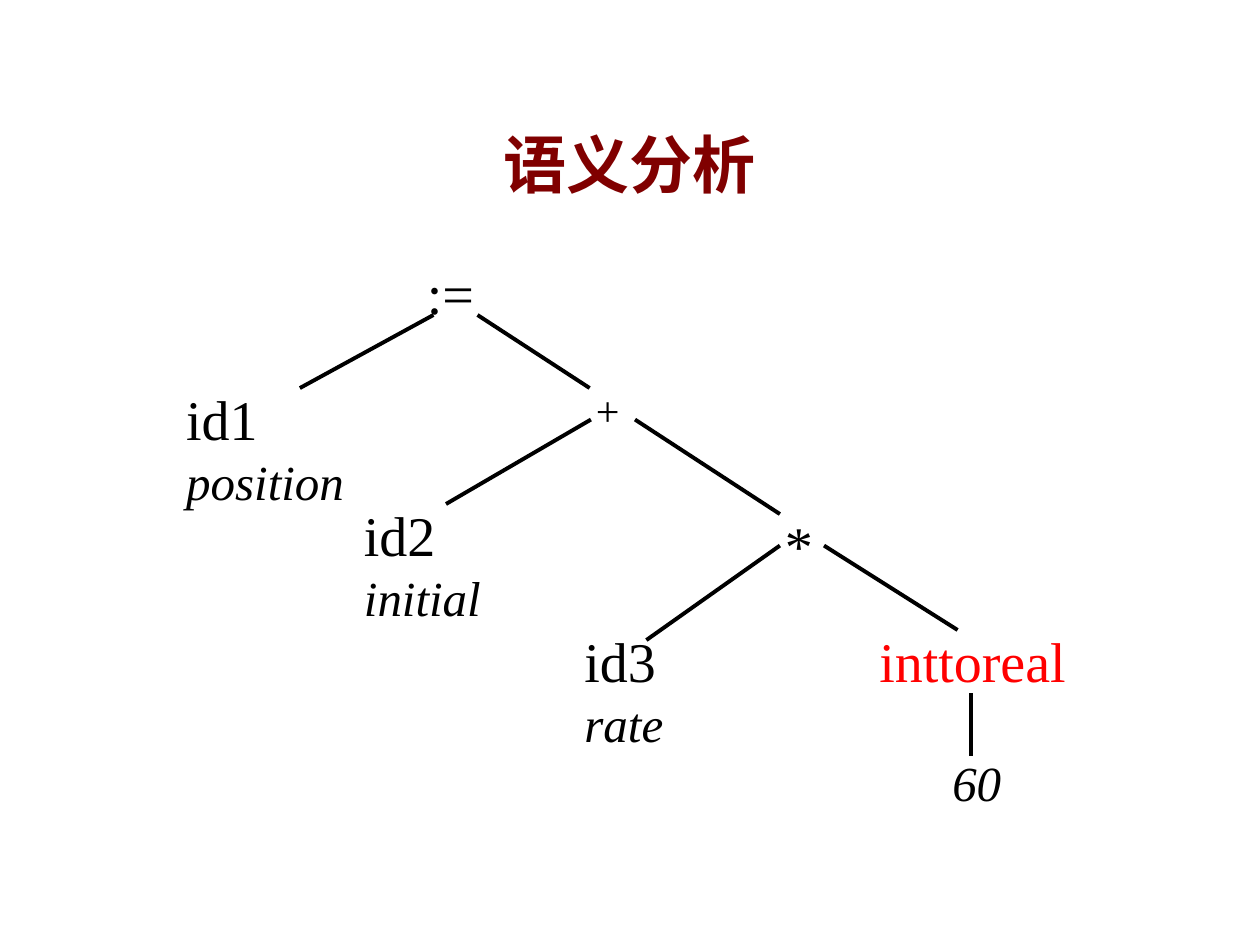
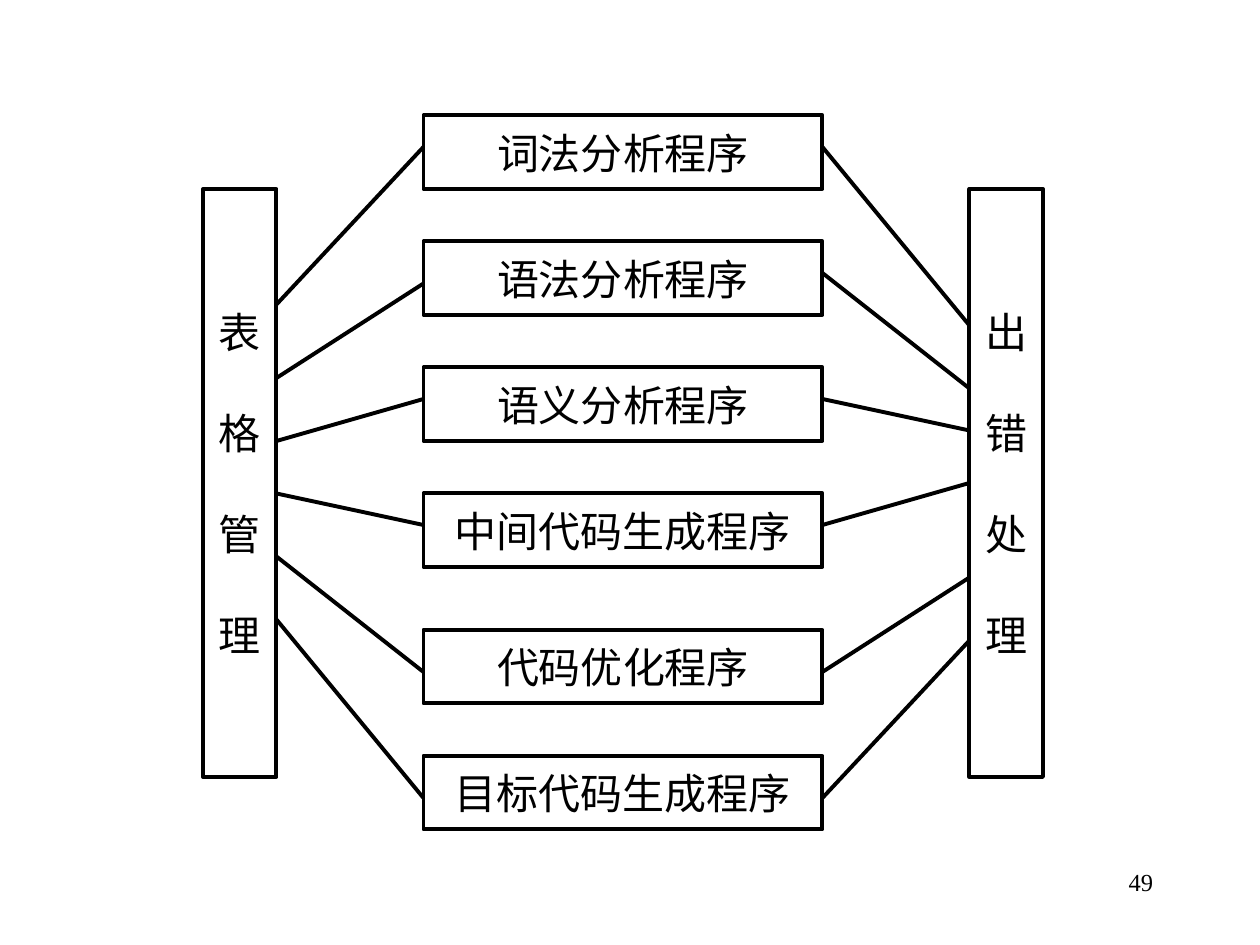
from itertools import accumulate

from lxml.etree import SubElement
from pptx import Presentation
from pptx.dml.color import RGBColor
from pptx.enum.shapes import MSO_CONNECTOR as Connector, MSO_SHAPE as Shape
from pptx.enum.text import MSO_ANCHOR as Anchor, PP_ALIGN as Align
from pptx.oxml.ns import qn
from pptx.util import Inches, Pt

COLORS = {"ink": "000000", "title": "800000", "accent": "FF0000", "paper": "FFFFFF"}
FONT = "Times New Roman"
LINE_WIDTH = 2.25

TITLE = ("语义分析", (0.75, 0.67, 8.5, 1.25))
PAGE_NUMBER = ("49", (7.17, 6.83, 2.08, 0.5))

PLAIN = {"size": 32}
ITALIC = {"size": 28, "italic": True}
TREE_NODES = [
    ((7.46, 5.92, 0.67, 0.57), [("60", ITALIC)]),
    ((3.29, 2, 0.71, 0.64), [(":=", PLAIN)]),
    ((4.63, 3, 0.71, 0.5), [("+", {"size": 24})]),
    ((6.13, 4, 0.71, 0.64), [("*", PLAIN)]),
    ((1.38, 3, 1.76, 1.1), [("id1 ", PLAIN), ("position", ITALIC)]),
    ((2.79, 3.92, 1.32, 1.1), [("id2 ", PLAIN), ("initial", ITALIC)]),
    ((4.54, 4.92, 0.97, 1.1), [("id3 ", PLAIN), ("rate", ITALIC)]),
    ((6.88, 4.92, 1.75, 0.64), [("inttoreal", {"size": 32, "color": "accent"})]),
]
TREE_BRANCHES = [
    ((2.38, 3.08), (3.44, 2.5)),
    ((3.79, 2.5), (4.68, 3.08)),
    ((4.69, 3.33), (3.54, 4)),
    ((5.04, 3.33), (6.19, 4.08)),
    ((6.54, 4.33), (7.6, 5)),
    ((6.19, 4.33), (5.13, 5.08)),
    ((7.71, 5.5), (7.71, 6)),
]

ROWS_PER_INCH = 12
COLUMN_TOP, COLUMN_ROWS, BOX_ROWS = 18, 56, 7
COLUMN_EDGES = list(accumulate([19.33, 7, 14, 38, 14, 7]))
TABLES = "表格管理"
ERRORS = "出错处理"
PHASES = [
    {"name": "词法分析程序", "top": 11, "left": (29, 14), "right": (14, 31)},
    {"name": "语法分析程序", "top": 23, "left": (36, 27), "right": (26, 37)},
    {"name": "语义分析程序", "top": 35, "left": (42, 38), "right": (38, 41)},
    {"name": "中间代码生成程序", "top": 47, "left": (47, 50), "right": (50, 46)},
    {"name": "代码优化程序", "top": 60, "left": (53, 64), "right": (64, 55)},
    {"name": "目标代码生成程序", "top": 72, "left": (59, 76), "right": (76, 61)},
]


def rgb(name):
    return RGBColor.from_string(COLORS[name])


def write(paragraph, runs, align=Align.LEFT):
    paragraph.alignment = align
    for words, look in runs:
        run = paragraph.add_run()
        run.text = words
        values = {"name": FONT, **look}
        run.font.color.rgb = rgb(values.pop("color", "ink"))
        values["size"] = Pt(values["size"])
        for key, value in values.items():
            setattr(run.font, key, value)


def add_label(slide, place, runs, align=Align.LEFT, anchor=Anchor.TOP):
    frame = slide.shapes.add_textbox(*map(Inches, place)).text_frame
    frame.word_wrap = True
    frame.vertical_anchor = anchor
    write(frame.paragraphs[0], runs, align)


def add_line(slide, start, end):
    line = slide.shapes.add_connector(Connector.STRAIGHT, *map(Inches, (*start, *end)))
    line.line.color.rgb = rgb("ink")
    line.line.width = Pt(LINE_WIDTH)
    SubElement(line._element.spPr, qn("a:effectLst"))
    return line


def add_box(slide, place, lines):
    box = slide.shapes.add_shape(Shape.RECTANGLE, *(Inches(n / ROWS_PER_INCH) for n in place))
    box.shadow.inherit = False
    box.fill.solid()
    box.fill.fore_color.rgb = rgb("paper")
    box.line.color.rgb = rgb("ink")
    box.line.width = Pt(LINE_WIDTH)
    frame = box.text_frame
    frame.word_wrap = False
    frame.vertical_anchor = Anchor.MIDDLE
    for index, words in enumerate(lines):
        paragraph = frame.add_paragraph() if index else frame.paragraphs[0]
        if index:
            paragraph.space_before = Pt(29)
        write(paragraph, [(words, {"size": 24})], Align.CENTER)
    return box


def build_tree(slide):
    words, place = TITLE
    look = {"size": 36, "bold": True, "color": "title"}
    add_label(slide, place, [(words, look)], Align.CENTER, Anchor.MIDDLE)
    for place, runs in TREE_NODES:
        add_label(slide, place, runs)
    for start, end in TREE_BRANCHES:
        add_line(slide, start, end)


def build_phases(slide):
    words, place = PAGE_NUMBER
    add_label(slide, place, [(words, {"size": 14})], Align.RIGHT)
    tables_x, tables_end, phase_x, phase_end, errors_x, errors_end = COLUMN_EDGES
    add_box(slide, (tables_x, COLUMN_TOP, tables_end - tables_x, COLUMN_ROWS), TABLES)
    errors = add_box(slide, (errors_x, COLUMN_TOP, errors_end - errors_x, COLUMN_ROWS), ERRORS)
    column_middle = COLUMN_TOP + COLUMN_ROWS / 2
    for phase in PHASES:
        add_box(slide, (phase_x, phase["top"], phase_end - phase_x, BOX_ROWS), [phase["name"]])
        for side, edges in (("left", (tables_end, phase_x)), ("right", (phase_end, errors_x))):
            start, end = ((x / ROWS_PER_INCH, y / ROWS_PER_INCH) for x, y in zip(edges, phase[side]))
            link = add_line(slide, start, end)
            if side == "right" and phase[side][1] == column_middle:
                link.end_connect(errors, 1)


def main():
    deck = Presentation()
    deck.slide_width, deck.slide_height = Inches(10), Inches(7.5)
    for build in (build_tree, build_phases):
        build(deck.slides.add_slide(deck.slide_layouts[6]))
    deck.save("out.pptx")


if __name__ == "__main__":
    main()
